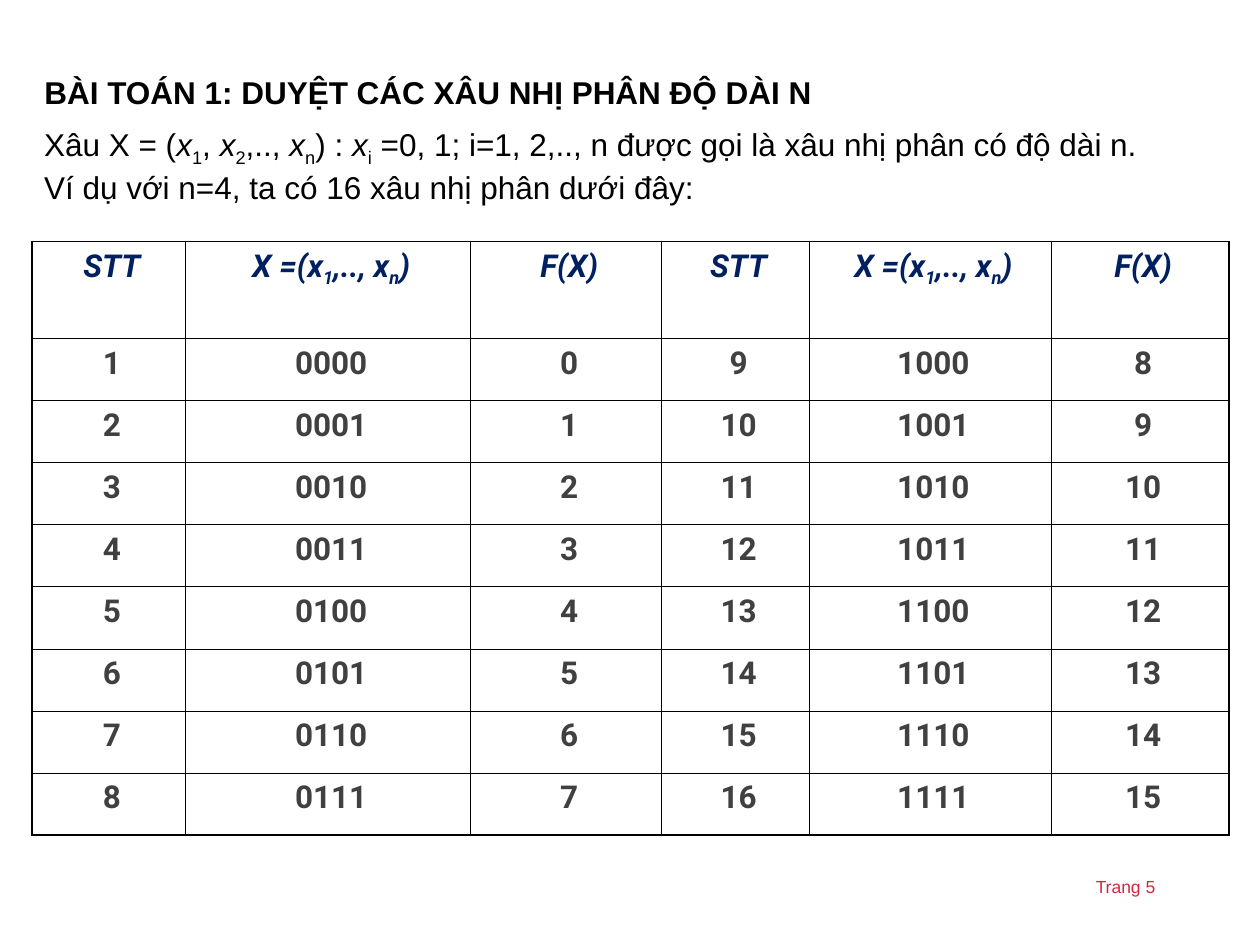
from pptx import Presentation, util as u
from pptx.dml.color import RGBColor
from pptx.enum import text as t
from pptx.oxml import parse_xml
from pptx.oxml.ns import nsdecls

HUES = {"ink": "000000", "head": "002060", "cell": "404040",
        "page": "CF2941", "back": "FFFFFF"}


class Deck:
    face = "Arial"
    size = 18
    thin, thick = 0.45, 1.08

    def __init__(self):
        self.prs = Presentation()
        self.prs.slide_width, self.prs.slide_height = u.Cm(25.4), u.Cm(19.05)
        self.slide = self.prs.slides.add_slide(self.prs.slide_layouts[5])

    def add_runs(self, para, parts, hue="ink", size=None, face=None,
                 bold=False, slant=False):
        font = para.font
        font.name, font.size = face or self.face, u.Pt(size or self.size)
        font.bold, font.italic = bold, slant
        font.color.rgb = RGBColor.from_string(HUES[hue])
        for words, mark in parts:
            run = para.add_run()
            run.text = words
            if mark == "i":
                run.font.italic = True
            if mark == "sub":
                run.font._element.set("baseline", "-25000")

    def fill_box(self, shape, box, parts, **style):
        shape.left, shape.top, shape.width, shape.height = map(u.Cm, box)
        frame = shape.text_frame
        frame.word_wrap = True
        frame.auto_size = t.MSO_AUTO_SIZE.NONE
        frame.vertical_anchor = t.MSO_ANCHOR.TOP
        para = frame.paragraphs[0]
        para.alignment = t.PP_ALIGN.LEFT
        self.add_runs(para, parts, **style)

    def title(self, box, words):
        self.fill_box(self.slide.shapes.title, box, [(words, "")], bold=True)

    def text(self, box, parts, **style):
        shape = self.slide.shapes.add_textbox(*map(u.Cm, box))
        self.fill_box(shape, box, parts, **style)

    def edge(self, cell, side, width):
        cell._tc.get_or_add_tcPr().append(parse_xml(
            f'<a:ln{side} {nsdecls("a")} w="{int(u.Pt(width))}"><a:solidFill>'
            f'<a:srgbClr val="{HUES["ink"]}"/></a:solidFill></a:ln{side}>'))

    def table(self, spot, wide, high, rows):
        left, top = spot
        box = map(u.Cm, (left, top, sum(wide), sum(high)))
        grid = self.slide.shapes.add_table(len(rows), len(wide), *box).table
        grid.first_row = grid.horz_banding = False
        for col, width in zip(grid.columns, wide):
            col.width = u.Cm(width)
        for r, (line, tall) in enumerate(zip(rows, high)):
            grid.rows[r].height = u.Cm(tall)
            for c, parts in enumerate(line):
                cell = grid.cell(r, c)
                rims = {"L": c == 0, "R": c == len(wide) - 1,
                        "T": r == 0, "B": r == len(rows) - 1}
                for side, outer in rims.items():
                    self.edge(cell, side, self.thick if outer else self.thin)
                cell.fill.solid()
                cell.fill.fore_color.rgb = RGBColor.from_string(HUES["back"])
                para = cell.text_frame.paragraphs[0]
                para.alignment = t.PP_ALIGN.CENTER
                para.space_before, para.space_after = u.Pt(4.5), u.Pt(3)
                para._p.get_or_add_pPr().set("marL", str(int(u.Cm(0.13))))
                self.add_runs(para, parts, hue="cell" if r else "head",
                              face="Roboto", bold=True, slant=r == 0)


deck = Deck()
deck.title((0.64, 1.35, 22.66, 1),
           "BÀI TOÁN 1: DUYỆT CÁC XÂU NHỊ PHÂN ĐỘ DÀI N")
deck.text((0.64, 2.39, 22.66, 1.88), [
    ("Xâu X = (", ""), ("x", "i"), ("1", "sub"), (", ", ""),
    ("x", "i"), ("2", "sub"), (",.., ", ""), ("x", "i"), ("n", "sub"),
    (") : ", ""), ("x", "i"), ("i", "sub"),
    (" =0, 1; i=1, 2,.., n được gọi là xâu nhị phân có độ dài n. "
     "Ví dụ với n=4, ta có 16 xâu nhị phân dưới đây:", "")])

half = 8
names = [[("STT", "")],
         [("X =(x", ""), ("1", "sub"), (",.., x", ""), ("n", "sub"), (")", "")],
         [("F(X)", "")]]
rows = [names * 2]
for low in range(half):
    rows.append([[(word, "")] for num in (low, low + half)
                 for word in (str(num + 1), f"{num:04b}", str(num))])
deck.table((0.64, 4.87), [3.1, 5.74, 3.86, 2.97, 4.88, 3.58],
           [1.96] + [1.25] * half, rows)
deck.text((21.84, 17.53, 3.07, 0.69), [("Trang 5", "")], hue="page", size=10)
deck.prs.save("out.pptx")
